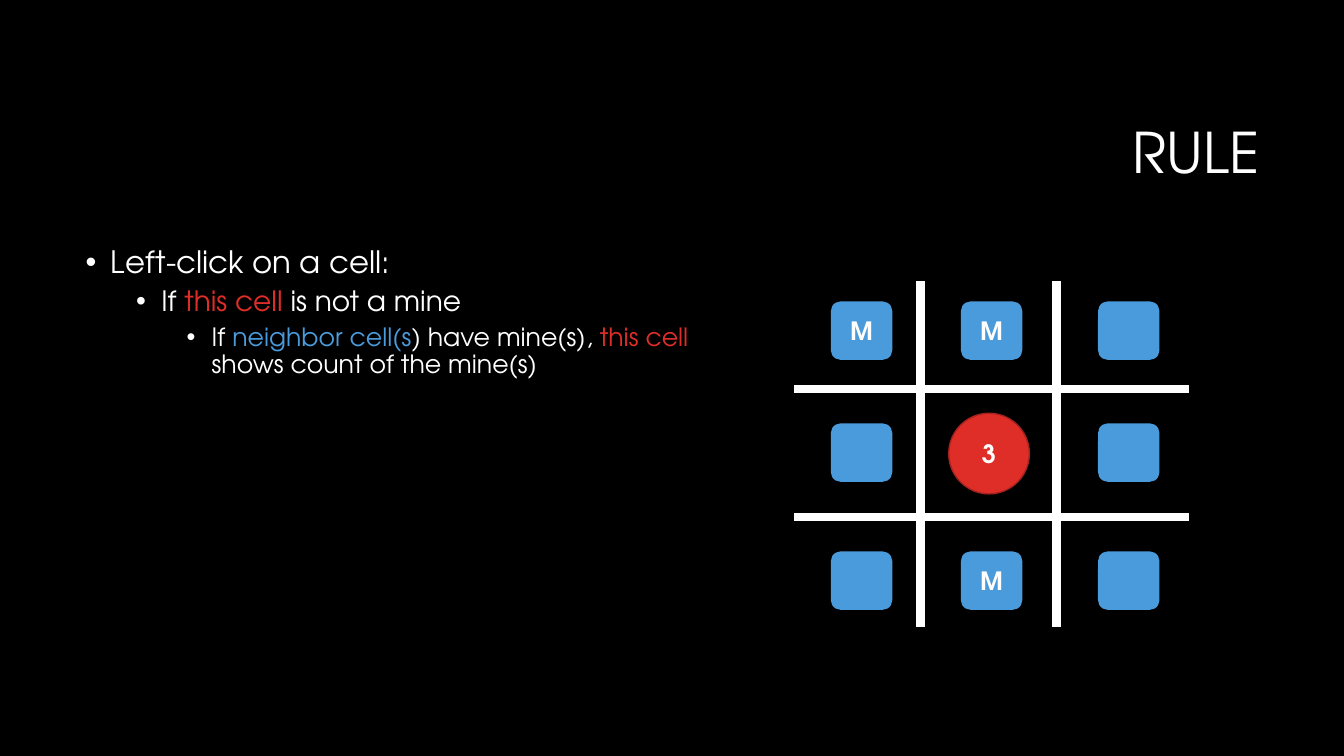
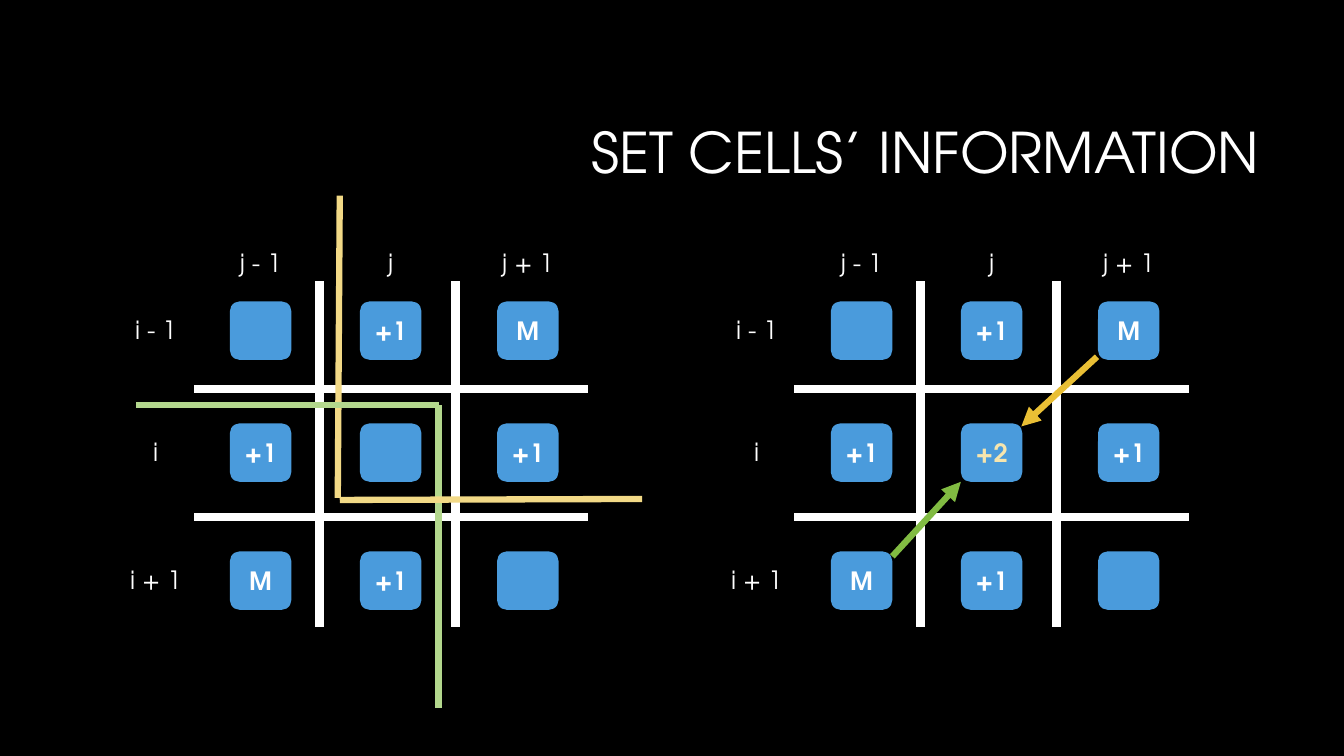
from lxml import etree
from pptx import Presentation
from pptx.dml.color import RGBColor
from pptx.enum.shapes import MSO_CONNECTOR, MSO_SHAPE
from pptx.enum.text import MSO_ANCHOR, MSO_AUTO_SIZE, PP_ALIGN
from pptx.oxml.ns import qn
from pptx.util import Emu, Pt

BLACK = RGBColor(0x00, 0x00, 0x00)
WHITE = RGBColor(0xFF, 0xFF, 0xFF)
RED = RGBColor(0xDF, 0x2E, 0x28)
MAROON = RGBColor(0xA5, 0x22, 0x1E)
BLUE = RGBColor(0x4A, 0x9B, 0xDC)
CREAM = RGBColor(0xF6, 0xE5, 0xAE)
YELLOW = RGBColor(0xF2, 0xD9, 0x86)
LIME = RGBColor(0xB3, 0xD7, 0x8D)
GREEN = RGBColor(0x81, 0xBB, 0x42)
GOLD = RGBColor(0xE9, 0xBF, 0x35)

STRAIGHT = MSO_CONNECTOR.STRAIGHT
ROUND = MSO_SHAPE.ROUNDED_RECTANGLE
OVAL = MSO_SHAPE.OVAL
MIDDLE = MSO_ANCHOR.MIDDLE
TOP = MSO_ANCHOR.TOP
NO_FIT = MSO_AUTO_SIZE.NONE
LEFT = PP_ALIGN.LEFT
CENTER = PP_ALIGN.CENTER
RIGHT = PP_ALIGN.RIGHT

FONT = "TeX Gyre Adventor"
SCALE = 9144
WIDE, HIGH = 1333, 750
TITLE_BOX = (317, 84, 942, 141)
LIST_BOX = (75, 240, 672, 440)
LEFT_BOX = (192, 279, 391, 343)
RIGHT_BOX = (788, 279, 391, 343)

COLS, ROWS = (36, 165, 301), (20, 141, 268)
BARS_X, BARS_Y = (125, 260), (107, 234)
CELL_W, CELL_H = 61, 58
TAG_W, TAG_H = 73, 40

RULES = (
    (22, 10, (("Left-click on a cell:", WHITE),)),
    (20, 5, (("If ", WHITE), ("this cell ", RED), ("is not a mine", WHITE))),
    (18, 5, (("If ", WHITE), ("neighbor cell(s", BLUE),
             (") have mine(s), ", WHITE), ("this cell ", RED),
             ("shows count of the mine(s)", WHITE))),
)
MINES = (("M", "M", ""), ("", None, ""), ("", "M", ""))
COUNTS = (("", "+1", "M"), ("+1", "", "+1"), ("M", "+1", ""))
SUMS = (("", "+1", "M"), ("+1", "+2", "+1"), ("M", "+1", ""))
GUIDES = (
    ((145, -85), (143, 215), YELLOW),
    ((243, 123), (243, 423), LIME),
    ((145, 217), (445, 216), YELLOW),
    ((243, 123), (-57, 123), LIME),
)
ARROWS = (
    ((97, 273), (165, 199), GREEN),
    ((300, 75), (225, 144), GOLD),
)


def px(*sizes):
    return [Emu(size * SCALE) for size in sizes]


def write(para, text, size=18, color=WHITE, bold=False, align=CENTER):
    para.alignment = align
    run = para.add_run()
    run.text = text
    font = run.font
    font.name, font.size, font.bold = FONT, Pt(size), bold
    font.color.rgb = color


def place(holder, box, anchor):
    holder.left, holder.top, holder.width, holder.height = px(*box)
    frame = holder.text_frame
    frame.word_wrap = True
    frame.auto_size = NO_FIT
    frame.vertical_anchor = anchor
    return frame


def start(deck, layout, title):
    slide = deck.slides.add_slide(deck.slide_layouts[layout])
    para = place(slide.shapes.title, TITLE_BOX, MIDDLE).paragraphs[0]
    para.line_spacing = 0.9
    write(para, title, size=40, align=RIGHT)
    return slide


def fill_list(holder, box, items):
    frame = place(holder, box, TOP)
    for level, (size, gap, runs) in enumerate(items):
        para = frame.add_paragraph() if level else frame.paragraphs[0]
        para.level = level
        para.line_spacing = 0.9
        para.space_before = Pt(gap)
        for text, color in runs:
            write(para, text, size=size, color=color, align=LEFT)
        props = para._p.get_or_add_pPr()
        margin, indent = px(25 + 50 * level, -25)
        props.set("marL", str(margin))
        props.set("indent", str(indent))
        etree.SubElement(props, qn("a:buChar")).set("char", "•")


def draw_line(slide, box, start_at, end_at, color, width, arrow=False):
    left, top = box[:2]
    (x1, y1), (x2, y2) = start_at, end_at
    ends = px(left + x1, top + y1, left + x2, top + y2)
    line = slide.shapes.add_connector(STRAIGHT, *ends)
    line.line.color.rgb = color
    line.line.width = Pt(width)
    props = line._element.spPr
    if arrow:
        tip = etree.SubElement(props.find(qn("a:ln")), qn("a:tailEnd"))
        tip.set("type", "triangle")
    etree.SubElement(props, qn("a:effectLst"))


def draw_shape(slide, kind, box, fill, text, edge=None, color=WHITE):
    shape = slide.shapes.add_shape(kind, *px(*box))
    shape.shadow.inherit = False
    shape.fill.solid()
    shape.fill.fore_color.rgb = fill
    if edge is None:
        shape.line.fill.background()
    else:
        shape.line.color.rgb = edge
        shape.line.width = Pt(1)
    frame = shape.text_frame
    frame.word_wrap = False
    frame.vertical_anchor = MIDDLE
    if text:
        write(frame.paragraphs[0], text, color=color, bold=True)


def draw_tag(slide, x, y, text):
    frame = slide.shapes.add_textbox(*px(x, y, TAG_W, TAG_H)).text_frame
    frame.word_wrap = True
    write(frame.paragraphs[0], text)


def draw_board(slide, box, marks):
    left, top, width, height = box
    for x in BARS_X:
        draw_line(slide, box, (x, 0), (x, height), WHITE, 6)
    for y in BARS_Y:
        draw_line(slide, box, (width, y), (0, y), WHITE, 6)
    for y, row in zip(ROWS, marks):
        for x, mark in zip(COLS, row):
            if mark is not None:
                cell = (left + x, top + y, CELL_W, CELL_H)
                color = CREAM if mark == "+2" else WHITE
                draw_shape(slide, ROUND, cell, BLUE, mark, color=color)


def draw_tags(slide, box):
    left, top = box[:2]
    for x, y, end in zip(COLS, ROWS, (" - 1", "", " + 1")):
        draw_tag(slide, left - 74, top + y + 8, "i" + end)
        draw_tag(slide, left + x - 6, top - 39, "j" + end)


def draw_count(slide, box):
    left, top = box[:2]
    draw_shape(slide, OVAL, (left + 153, top + 131, 80, 80), RED, "3",
               edge=MAROON)


def rule_slide(deck):
    slide = start(deck, 1, "RULE")
    fill_list(slide.placeholders[1], LIST_BOX, RULES)
    draw_board(slide, RIGHT_BOX, MINES)
    draw_count(slide, RIGHT_BOX)


def info_slide(deck):
    slide = start(deck, 5, "SET CELLS’ INFORMATION")
    for box, marks in ((RIGHT_BOX, SUMS), (LEFT_BOX, COUNTS)):
        draw_board(slide, box, marks)
        draw_tags(slide, box)
    for begin, end, color in GUIDES:
        draw_line(slide, LEFT_BOX, begin, end, color, 4.5)
    for begin, end, color in ARROWS:
        draw_line(slide, RIGHT_BOX, begin, end, color, 4.5, arrow=True)


def main():
    deck = Presentation()
    deck.slide_width, deck.slide_height = px(WIDE, HIGH)
    back = deck.slide_master.background.fill
    back.solid()
    back.fore_color.rgb = BLACK
    rule_slide(deck)
    info_slide(deck)
    deck.save("out.pptx")


if __name__ == "__main__":
    main()
